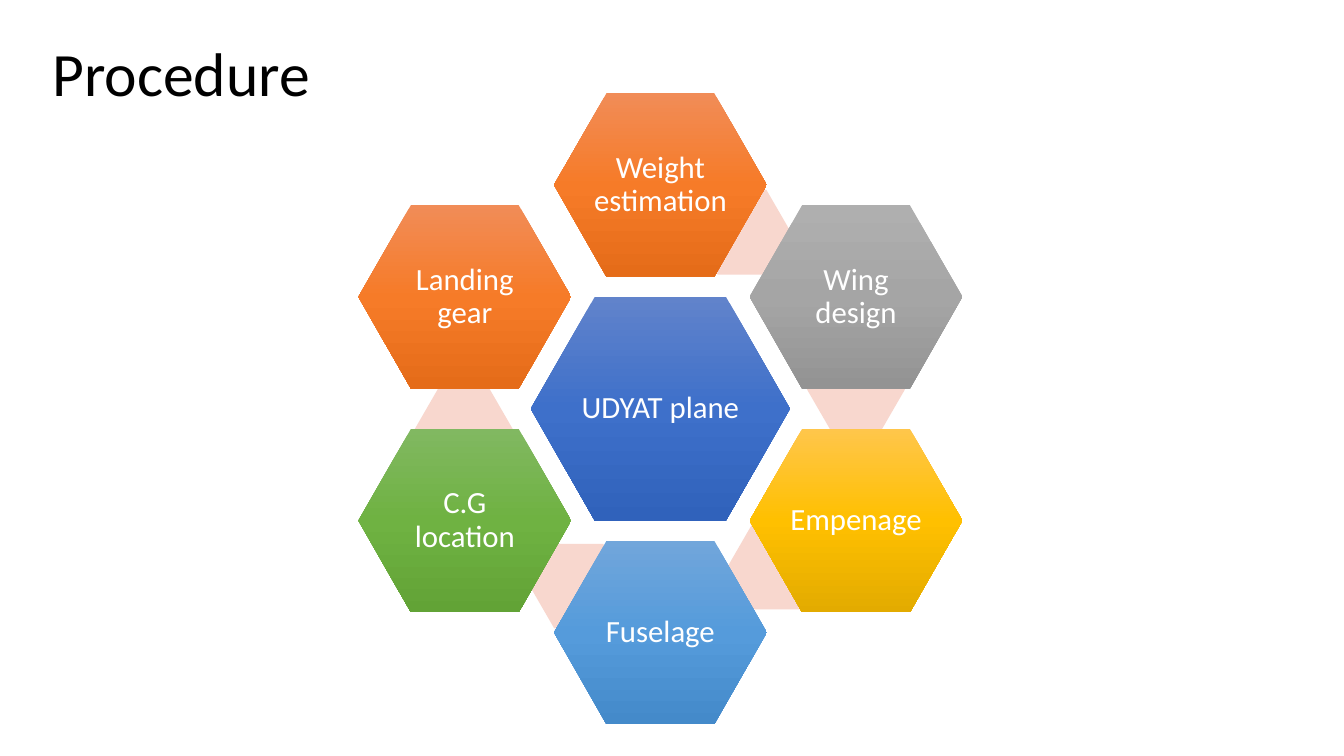
from copy import deepcopy

from pptx import Presentation
from pptx.dml.color import RGBColor
from pptx.enum.shapes import MSO_SHAPE as Shape
from pptx.enum.text import MSO_ANCHOR as Anchor, PP_ALIGN as Align
from pptx.util import Inches, Pt

FONT = "Calibri"
COLORS = {"title": "000000", "label": "FFFFFF", "accent": "F8D7CE"}
GRADIENTS = {
    "blue": ("6183CB", "3E70CA", "3062BB"),
    "orange": ("F18C57", "F67B28", "E56C19"),
    "gray": ("AFAFAF", "A5A5A5", "939393"),
    "gold": ("FFC64B", "FFC000", "E3AB00"),
    "sky": ("71A6DB", "559BDB", "448ACA"),
    "green": ("81B861", "6FB242", "62A336"),
}
CORE_SIZE = (2.57, 2.22)
STEP_SIZE = (2.11, 1.82)
ACCENT_SIZE = (0.97, 0.84)
COLUMN, ROW = 1.94, 1.11

# Label, gradient, grid column and row from the core, accent offset from the core
STEPS = [
    ("Weight estimation", "orange", (0, -2), (0.81, -1.75)),
    ("Wing design", "gray", (1, -1), (1.94, -0.19)),
    ("Empenage", "gold", (1, 1), (1.15, 1.57)),
    ("Fuselage", "sky", (0, 2), (-0.81, 1.76)),
    ("C.G location", "green", (-1, 1), (-1.95, 0.2)),
    ("Landing gear", "orange", (-1, -1), None),
]


def style_text(paragraph, text, size, color):
    paragraph.text = text
    paragraph.line_spacing = 0.9
    paragraph.font.name = FONT
    paragraph.font.size = Pt(size)
    paragraph.font.color.rgb = RGBColor.from_string(COLORS[color])


def add_title(slide, box, text):
    title = slide.shapes.add_textbox(*map(Inches, box))
    frame = title.text_frame
    frame.word_wrap = True
    frame.vertical_anchor = Anchor.MIDDLE
    style_text(frame.paragraphs[0], text, 44, "title")


def add_hexagon(slide, center, size, slant):
    (x, y), (width, height) = center, size
    box = (x - width / 2, y - height / 2, width, height)
    hexagon = slide.shapes.add_shape(Shape.HEXAGON, *map(Inches, box))
    hexagon.adjustments[0] = slant
    hexagon.shadow.inherit = False
    hexagon.line.fill.background()
    return hexagon


def add_accent(slide, center):
    accent = add_hexagon(slide, center, ACCENT_SIZE, 0.289)
    accent.fill.solid()
    accent.fill.fore_color.rgb = RGBColor.from_string(COLORS["accent"])


def fill_gradient(fill, colors):
    fill.gradient()
    fill.gradient_angle = 270
    stop_list = fill._fill._gradFill.gsLst
    stop_list.append(deepcopy(stop_list[-1]))
    for index, (stop, color) in enumerate(zip(fill.gradient_stops, colors)):
        stop.position = index / 2
        stop.color.rgb = RGBColor.from_string(color)


def add_step(slide, center, size, label, gradient):
    step = add_hexagon(slide, center, size, 0.286)
    fill_gradient(step.fill, GRADIENTS[gradient])
    frame = step.text_frame
    frame.word_wrap = True
    frame.vertical_anchor = Anchor.MIDDLE
    frame.margin_left = frame.margin_right = Inches(0.02)
    frame.margin_top = frame.margin_bottom = Inches(0.02)
    style_text(frame.paragraphs[0], label, 22, "label")
    frame.paragraphs[0].alignment = Align.CENTER


def add_procedure_ring(slide, box):
    left, top, width, height = box
    x, y = left + width / 2, top + height / 2
    add_step(slide, (x, y), CORE_SIZE, "UDYAT plane", "blue")
    for label, gradient, (column, row), accent in STEPS:
        if accent:
            add_accent(slide, (x + accent[0], y + accent[1]))
        center = (x + column * COLUMN, y + row * ROW)
        add_step(slide, center, STEP_SIZE, label, gradient)


def main():
    deck = Presentation()
    deck.slide_width, deck.slide_height = Inches(13.33), Inches(7.5)
    slide = deck.slides.add_slide(deck.slide_layouts[6])
    add_title(slide, (0.42, 0.2, 11.99, 1.11), "Procedure")
    add_procedure_ring(slide, (3.56, 0.92, 5.98, 6.27))
    deck.save("out.pptx")


if __name__ == "__main__":
    main()
